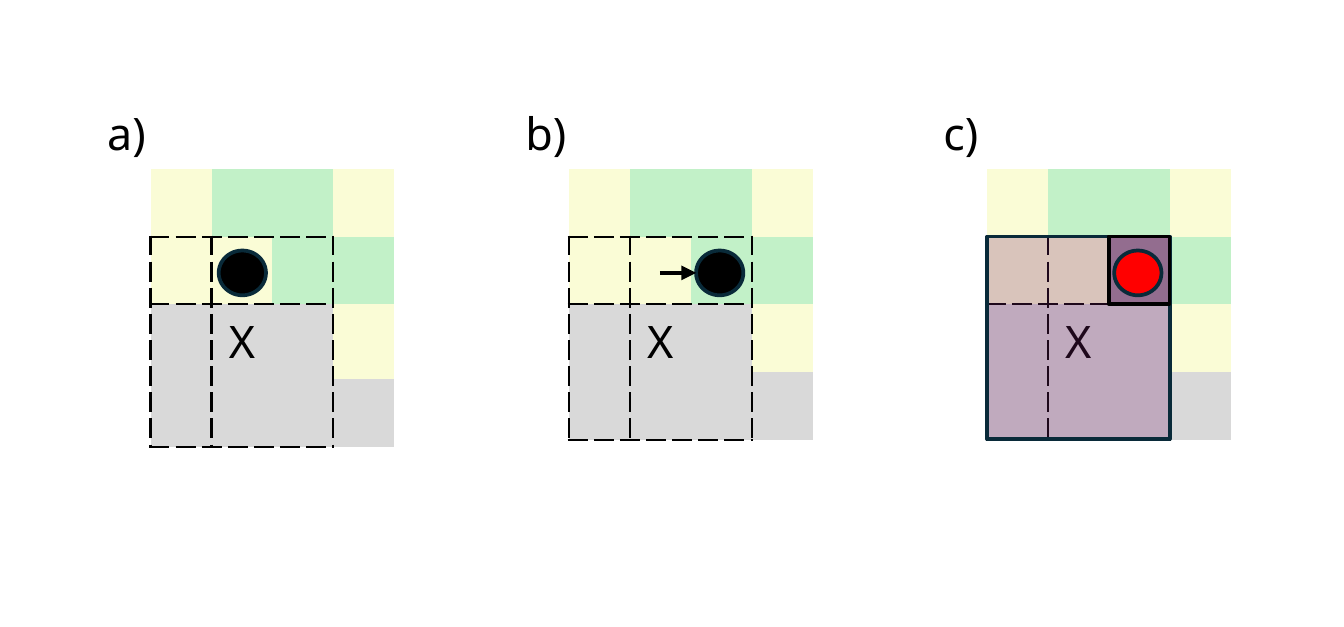
import lxml.etree
import pptx
import pptx.dml.color
import pptx.enum.dml
import pptx.enum.shapes
import pptx.enum.text
import pptx.oxml
import pptx.oxml.ns
import pptx.util

Pt = pptx.util.Pt
RGBColor = pptx.dml.color.RGBColor
qn = pptx.oxml.ns.qn

BLACK = RGBColor(0x00, 0x00, 0x00)
YELLOW = RGBColor(0xFA, 0xFC, 0xD6)
GREEN = RGBColor(0xC2, 0xF1, 0xC8)
GREY = RGBColor(0xD9, 0xD9, 0xD9)
NAVY = RGBColor(0x09, 0x2A, 0x39)
PURPLE = RGBColor(0x78, 0x20, 0x6E)
RED = RGBColor(0xFF, 0x00, 0x00)

FONT = "Noto Sans"
PLAIN_TABLE_STYLE = "{2D5ABB26-0587-4C30-8999-92F81FD0307C}"
CELL_COLORS = {"Y": YELLOW, "G": GREEN, "S": GREY}
CELL_ROWS = [".YGGY", ".YYGG", ".SSSY", ".SSSS", "....."]
WINDOW = range(1, 4)
GRID_SIZE = len(CELL_ROWS)
COLUMN_WIDTH = 24.5
ROW_HEIGHT = 27.1
GRID_OFFSET = 29
PANEL_LEFT, PANEL_TOP, PANEL_STEP = 36, 39, 168
MARKER_WIDTH, MARKER_HEIGHT = 19, 18
MARKER_Y = 41.7
START_X, END_X = 61.4, 85.2
LINE_WIDTH = 1.5


def format_text(paragraph):
    for run in paragraph.runs:
        run.font.name = FONT
        run.font.size = Pt(18)
        run.font.color.rgb = BLACK


def add_dashed_border(cell, side):
    properties = cell._tc.get_or_add_tcPr()
    line = lxml.etree.SubElement(properties, qn(f"a:ln{side}"), w=str(Pt(1)))
    fill = lxml.etree.SubElement(line, qn("a:solidFill"))
    lxml.etree.SubElement(fill, qn("a:srgbClr"), val=str(BLACK))
    lxml.etree.SubElement(line, qn("a:prstDash"), val="dash")


def in_window(row, column):
    return row in WINDOW and column in WINDOW


def format_cell(cell, row, column):
    """Fill a cell and dash each side that separates the window from the rest."""
    neighbours = {"L": (row, column - 1), "R": (row, column + 1),
                  "T": (row - 1, column), "B": (row + 1, column)}
    for side, neighbour in neighbours.items():
        if in_window(row, column) != in_window(*neighbour):
            add_dashed_border(cell, side)
    color = CELL_COLORS.get(CELL_ROWS[row][column])
    if color is None:
        cell.fill.background()
    else:
        cell.fill.solid()
        cell.fill.fore_color.rgb = color
    cell.margin_left = cell.margin_right = Pt(5)
    cell.margin_top = cell.margin_bottom = Pt(0)


def add_grid(slide, left, top):
    frame = slide.shapes.add_table(
        GRID_SIZE, GRID_SIZE, Pt(left), Pt(top),
        Pt(GRID_SIZE * COLUMN_WIDTH), Pt(GRID_SIZE * ROW_HEIGHT))
    table = frame.table
    table.first_row = table.horz_banding = False
    table._tbl.tblPr.find(qn("a:tableStyleId")).text = PLAIN_TABLE_STYLE
    for column in table.columns:
        column.width = Pt(COLUMN_WIDTH)
    for row in table.rows:
        row.height = Pt(ROW_HEIGHT)
    for row in range(GRID_SIZE):
        for column in range(GRID_SIZE):
            format_cell(table.cell(row, column), row, column)
    center = table.cell(2, 2)
    center.margin_top = center.margin_bottom = Pt(2.9)
    center.text_frame.text = "X"
    paragraph = center.text_frame.paragraphs[0]
    paragraph.alignment = pptx.enum.text.PP_ALIGN.CENTER
    format_text(paragraph)


def add_filled_shape(slide, kind, box, fill, line, opacity=100):
    shape = slide.shapes.add_shape(kind, *(Pt(length) for length in box))
    shape.shadow.inherit = False
    shape.fill.solid()
    shape.fill.fore_color.rgb = fill
    if opacity < 100:
        color = shape.fill._xPr.find(qn("a:solidFill"))[0]
        lxml.etree.SubElement(color, qn("a:alpha"), val=str(opacity * 1000))
    shape.line.color.rgb = line
    shape.line.width = Pt(LINE_WIDTH)


def add_marker(slide, center_x, center_y, fill):
    box = (center_x - MARKER_WIDTH / 2, center_y - MARKER_HEIGHT / 2,
           MARKER_WIDTH, MARKER_HEIGHT)
    add_filled_shape(slide, pptx.enum.shapes.MSO_SHAPE.OVAL, box, fill, NAVY)


def add_move_arrow(slide, tip_x, y):
    connector = slide.shapes.add_connector(
        pptx.enum.shapes.MSO_CONNECTOR.STRAIGHT,
        Pt(tip_x - 14.6), Pt(y), Pt(tip_x), Pt(y))
    connector.line.color.rgb = BLACK
    connector.line.width = Pt(LINE_WIDTH)
    lxml.etree.SubElement(connector.line._get_or_add_ln(), qn("a:tailEnd"), type="triangle")
    lxml.etree.SubElement(connector._element.spPr, qn("a:effectLst"))


def add_overlays(slide, left, top):
    """Tint the whole window, and its upper right cell more strongly."""
    rectangle = pptx.enum.shapes.MSO_SHAPE.RECTANGLE
    window_box = (left + COLUMN_WIDTH, top + ROW_HEIGHT,
                  3 * COLUMN_WIDTH, 3 * ROW_HEIGHT)
    cell_box = (left + 3 * COLUMN_WIDTH, top + ROW_HEIGHT,
                COLUMN_WIDTH, ROW_HEIGHT)
    add_filled_shape(slide, rectangle, window_box, PURPLE, NAVY, 25)
    add_filled_shape(slide, rectangle, cell_box, PURPLE, BLACK, 50)


def add_label(slide, text, left, top):
    label = slide.shapes.add_textbox(Pt(left), Pt(top), Pt(32.4), Pt(29))
    label.text_frame.word_wrap = True
    label.text_frame.text = text
    format_text(label.text_frame.paragraphs[0])


def add_panel(slide, text, left, top, marker_x, marker_color,
              with_arrow=False, with_overlays=False):
    grid_top = top + GRID_OFFSET
    center_x, center_y = left + marker_x, grid_top + MARKER_Y
    add_grid(slide, left, grid_top)
    if with_overlays:
        add_overlays(slide, left, grid_top)
    add_marker(slide, center_x, center_y, marker_color)
    if with_arrow:
        add_move_arrow(slide, center_x - MARKER_WIDTH / 2, center_y)
    add_label(slide, text, left, top)


def main():
    presentation = pptx.Presentation()
    presentation.slide_width = Pt(540)
    presentation.slide_height = Pt(252)
    slide = presentation.slides.add_slide(presentation.slide_layouts[6])
    lefts = [PANEL_LEFT + index * PANEL_STEP for index in range(3)]
    add_panel(slide, "a)", lefts[0], PANEL_TOP, START_X, BLACK)
    add_panel(slide, "b)", lefts[1], PANEL_TOP, END_X, BLACK, with_arrow=True)
    add_panel(slide, "c)", lefts[2], PANEL_TOP, END_X, RED, with_overlays=True)
    presentation.save("out.pptx")


if __name__ == "__main__":
    main()
